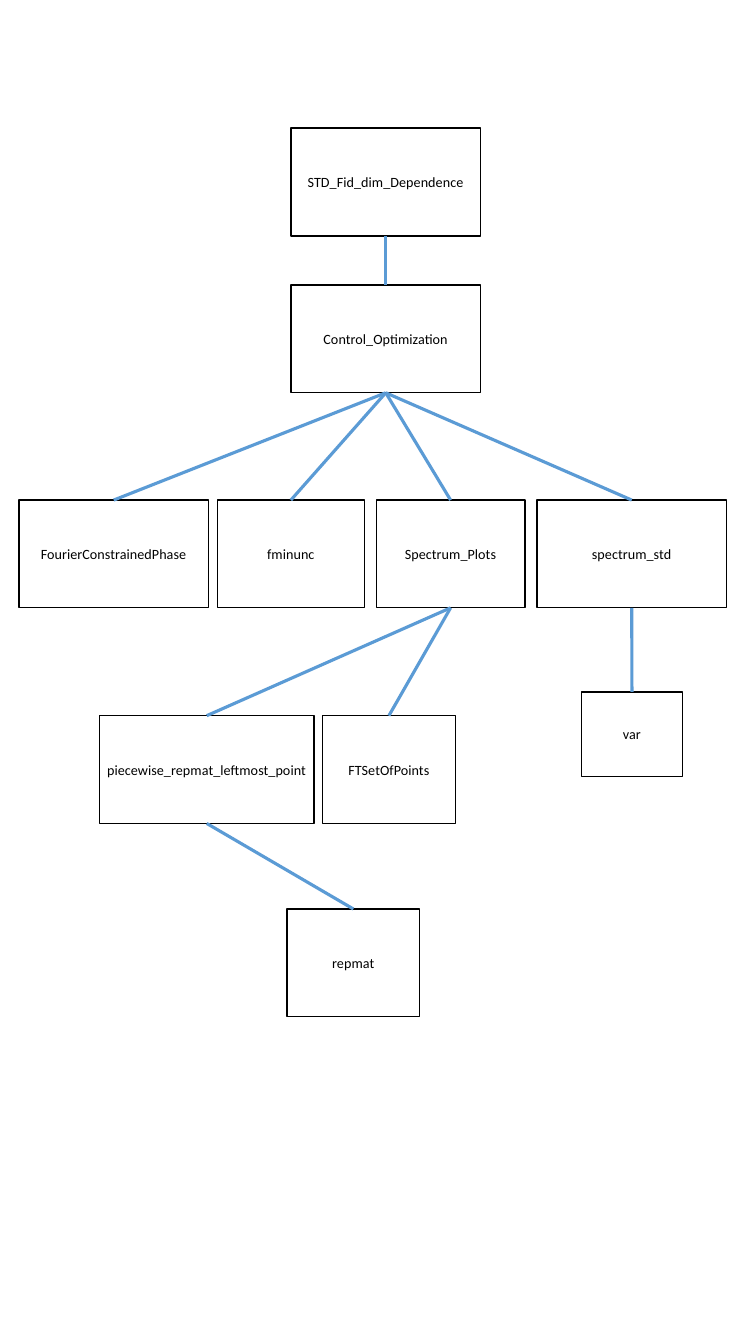
"""Build a call tree of the functions behind STD_Fid_dim_Dependence."""
from lxml import etree
from pptx import Presentation
from pptx.dml.color import RGBColor
from pptx.enum import shapes, text
from pptx.oxml import ns
from pptx.util import Pt


def paint(target, color):
    target.solid()
    target.fore_color.rgb = RGBColor.from_string(color)


BOX_HEIGHT = 77
WIDE = 135.5
NARROW = 95
BOTTOM_SITE, TOP_SITE = 2, 0

bounds_by_function = {
    "STD_Fid_dim_Dependence": (207.8, 91.6, WIDE, BOX_HEIGHT),
    "Control_Optimization": (207.8, 203.6, WIDE, BOX_HEIGHT),
    "FourierConstrainedPhase": (13.5, 357.2, WIDE, BOX_HEIGHT),
    "fminunc": (155.3, 357.2, 105, BOX_HEIGHT),
    "Spectrum_Plots": (268.8, 357.2, 106.1, BOX_HEIGHT),
    "spectrum_std": (383.5, 357.2, WIDE, BOX_HEIGHT),
    "var": (415.3, 494.2, 72.2, 60.5),
    "piecewise_repmat_leftmost_point": (71, 511.2, 153.4, BOX_HEIGHT),
    "FTSetOfPoints": (230.3, 511.2, NARROW, BOX_HEIGHT),
    "repmat": (204.9, 649.3, NARROW, BOX_HEIGHT),
}
calls = {
    "STD_Fid_dim_Dependence": ["Control_Optimization"],
    "Control_Optimization": [
        "FourierConstrainedPhase", "fminunc", "Spectrum_Plots", "spectrum_std"],
    "Spectrum_Plots": ["piecewise_repmat_leftmost_point", "FTSetOfPoints"],
    "spectrum_std": ["var"],
    "piecewise_repmat_leftmost_point": ["repmat"],
}

presentation = Presentation()
presentation.slide_width = Pt(540)
presentation.slide_height = Pt(960)
slide = presentation.slides.add_slide(presentation.slide_layouts[6])

boxes = {}
for function, bounds in bounds_by_function.items():
    box = slide.shapes.add_shape(
        shapes.MSO_SHAPE.RECTANGLE, *[Pt(length) for length in bounds])
    box.shadow.inherit = False
    paint(box.fill, "FFFFFF")
    paint(box.line.fill, "000000")
    box.line.width = Pt(1)
    frame = box.text_frame
    frame.word_wrap = True
    frame.vertical_anchor = text.MSO_ANCHOR.MIDDLE
    frame.margin_left = frame.margin_right = Pt(4.5)
    frame.margin_top = frame.margin_bottom = Pt(2.25)
    paragraph = frame.paragraphs[0]
    paragraph.alignment = text.PP_ALIGN.CENTER
    run = paragraph.add_run()
    run.text = function
    run.font.name = "Calibri"
    run.font.size = Pt(10.13)
    paint(run.font.fill, "000000")
    boxes[function] = box

for caller, callees in calls.items():
    for callee in callees:
        connector = slide.shapes.add_connector(
            shapes.MSO_CONNECTOR.STRAIGHT, 0, 0, 0, 0)
        connector.begin_connect(boxes[caller], BOTTOM_SITE)
        connector.end_connect(boxes[callee], TOP_SITE)
        paint(connector.line.fill, "5B9BD5")
        connector.line.width = Pt(2.25)
        etree.SubElement(connector._element.spPr, ns.qn("a:effectLst"))

presentation.save("out.pptx")
